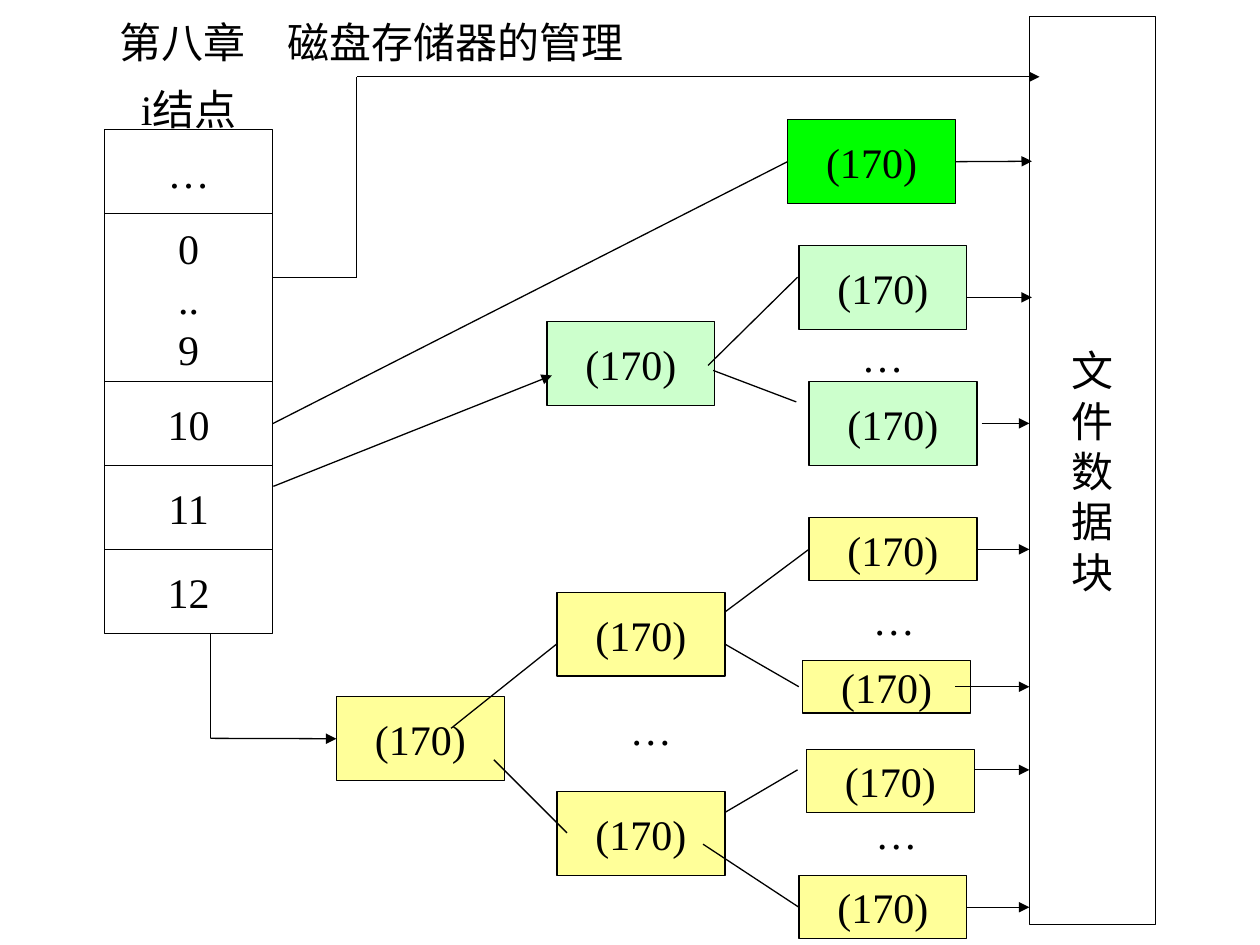
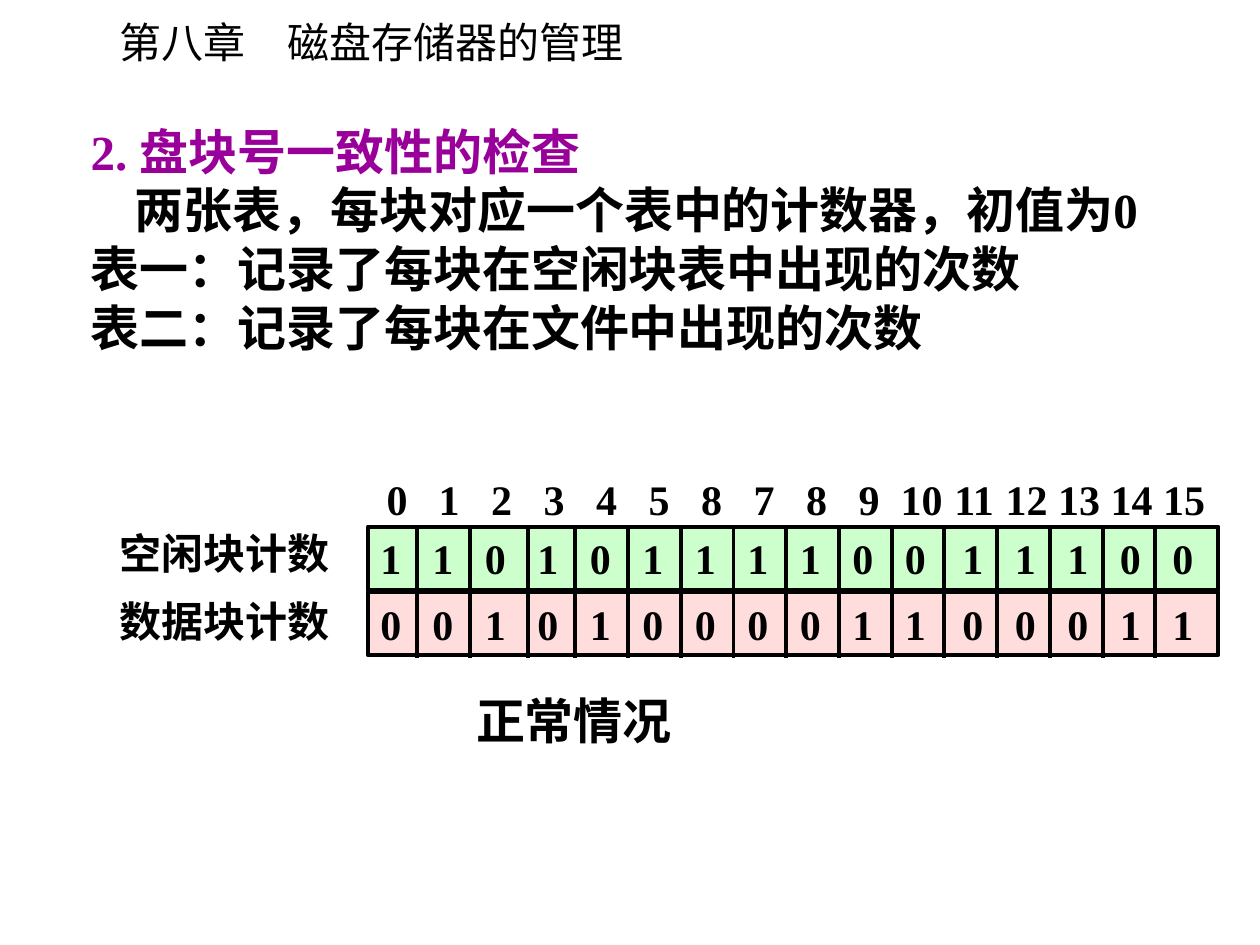
from lxml import etree
from pptx import Presentation
from pptx import util as u
from pptx.dml.color import RGBColor
from pptx.enum import shapes, text
from pptx.oxml.ns import qn

CJK, LATIN = "Noto Sans CJK SC", "Times New Roman"
BLACK, WHITE, PURPLE = "000000", "FFFFFF", "990099"
GREEN, MINT, YELLOW, PINK = "00FF00", "CCFFCC", "FFFF99", "FFDDDD"
CHAPTER = "第八章　磁盘存储器的管理"
LEFT, CENTER = text.PP_ALIGN.LEFT, text.PP_ALIGN.CENTER
I = u.Inches
rgb = RGBColor.from_string


def write(tf, lines, size=24, color=BLACK, bold=False, name=LATIN,
          align=LEFT, anchor=text.MSO_ANCHOR.MIDDLE, wrap=False, tabs=()):
    """Fill a text frame, one paragraph for each line."""
    frame = {"word_wrap": wrap, "auto_size": text.MSO_AUTO_SIZE.NONE,
             "vertical_anchor": anchor}
    for key, value in frame.items():
        setattr(tf, key, value)
    for i, line in enumerate(lines):
        p = tf.paragraphs[0] if i == 0 else tf.add_paragraph()
        p.alignment = align
        p.space_before = u.Pt(0)
        if tabs:
            stops = etree.SubElement(p._p.get_or_add_pPr(), qn("a:tabLst"))
            for x in tabs:
                etree.SubElement(stops, qn("a:tab"), pos=str(I(x)), algn="ctr")
        r = p.add_run()
        r.text = line
        for key, value in {"size": u.Pt(size), "bold": bold, "name": name}.items():
            setattr(r.font, key, value)
        r.font.color.rgb = rgb(color)
        etree.SubElement(r.font._element, qn("a:ea"), typeface=CJK)


def box(s, at, lines, fill=None, line=BLACK, width=0.75, align=CENTER, **style):
    """Rectangle with text, centred by default."""
    sp = s.shapes.add_shape(shapes.MSO_SHAPE.RECTANGLE, *map(I, at))
    sp.shadow.inherit = False
    if fill:
        sp.fill.solid()
        sp.fill.fore_color.rgb = rgb(fill)
    else:
        sp.fill.background()
    if line:
        sp.line.color.rgb = rgb(line)
        sp.line.width = u.Pt(width)
    else:
        sp.line.fill.background()
    write(sp.text_frame, lines, align=align, **style)
    return sp


prs = Presentation()
prs.slide_width, prs.slide_height = I(10), I(7.5)

# Both slides carry the chapter title
slides = []
for layout in (5, 1):
    s = prs.slides.add_slide(prs.slide_layouts[layout])
    sp = s.shapes.title
    sp.left, sp.top, sp.width, sp.height = map(I, (0.85, 0.08, 4.27, 0.5))
    write(sp.text_frame, [CHAPTER], name=CJK, anchor=text.MSO_ANCHOR.TOP)
    slides.append(s)
index_slide, check_slide = slides

# Slide 1: i-node entries, stacked
s = index_slide
W, H = 4 / 3, 2 / 3
nodes, top = {}, 1.03
for label, height in (("…", H), ("0 .. 9", 2 * H), ("10", H), ("11", H), ("12", H)):
    nodes[label] = box(s, (0.83, top, W, height), label.split())
    top += height
box(s, (0.83, 0.53, W, H), ["i结点"], line=None)
box(s, (8.17, 0.13, 1, 7.21), list("文件数据块"))

# Index blocks: name -> left, top, height, fill
blocks = {
    "single": (6.25, 0.95, H, GREEN),
    "double": (4.34, 2.55, H, MINT),
    "double first": (6.34, 1.95, H, MINT),
    "double last": (6.42, 3.03, H, MINT),
    "triple": (2.67, 5.53, H, YELLOW),
    "triple first": (4.42, 4.7, H, YELLOW),
    "triple last": (4.42, 6.28, H, YELLOW),
    "leaf 1": (6.42, 4.11, 0.5, YELLOW),
    "leaf 2": (6.37, 5.24, 0.42, YELLOW),
    "leaf 3": (6.4, 5.95, 0.5, YELLOW),
    "leaf 4": (6.34, 6.95, 0.5, YELLOW),
}
for name, (left, top, height, fill) in blocks.items():
    nodes[name] = box(s, (left, top, W, height), ["(170)"], fill)
for left, top in ((6.42, 2.7), (6.51, 4.79), (4.58, 5.66), (6.53, 6.49)):
    box(s, (left, top, 1.17, 0.24), ["…"], WHITE, None)

# Links: x1, y1, x2, y2, arrow, joined start, joined end
links = [
    (2.17, 2.2, 2.83, 2.2, False, None, None),
    (2.83, 2.2, 2.83, 0.61, False, None, None),
    (2.83, 0.61, 8.25, 0.61, True, None, None),
    (2.17, 3.36, 6.25, 1.28, False, "10", "single"),
    (2.17, 3.86, 4.38, 2.98, True, None, None),
    (5.62, 2.9, 6.33, 2.2, False, None, None),
    (5.66, 2.94, 6.32, 3.19, False, None, None),
    (1.67, 5.03, 1.67, 5.86, False, None, None),
    (1.67, 5.86, 2.67, 5.86, True, None, "triple"),
    (3.58, 5.78, 4.42, 5.11, False, None, None),
    (3.92, 6.03, 4.5, 6.61, False, None, None),
    (5.75, 4.86, 6.42, 4.36, False, None, "leaf 1"),
    (5.75, 5.11, 6.34, 5.45, False, None, None),
    (5.75, 6.45, 6.33, 6.11, False, None, None),
    (5.58, 6.7, 6.33, 7.2, False, None, "leaf 4"),
]
# Arrows into the data blocks: start x, y, end x, joined start
for x, y, end, start in (
        (7.58, 1.28, 8.19, "single"), (7.67, 2.36, 8.19, None),
        (7.79, 3.36, 8.17, None), (7.75, 4.36, 8.17, "leaf 1"),
        (7.58, 5.45, 8.17, None), (7.73, 6.11, 8.17, None),
        (7.67, 7.2, 8.17, "leaf 4")):
    links.append((x, y, end, y, True, start, None))

# Slide 2: explanation
s = check_slide
body = s.placeholders[1]
body.left, body.top, body.width, body.height = map(I, (0.62, 0.91, 9.03, 1.97))
write(body.text_frame, ["2. 盘块号一致性的检查",
                        "两张表，每块对应一个表中的计数器，初值为0",
                        "表一：记录了每块在空闲块表中出现的次数",
                        "表二：记录了每块在文件中出现的次数"], size=28, bold=True)
for i, p in enumerate(body.text_frame.paragraphs):
    pPr = p._p.get_or_add_pPr()
    pPr.set("marL", "0")
    pPr.set("indent", str(I(0.35) if i == 1 else 0))
    etree.SubElement(pPr, qn("a:buNone"))
body.text_frame.paragraphs[0].runs[0].font.color.rgb = rgb(PURPLE)

# Block numbers and the two rows of counters, set on centred tab stops
STEP = 5 / 12
number_tabs = [0.08 + STEP * i for i in range(1, 16)]
count_tabs = [x + (0.04 if i >= 11 else 0) for i, x in enumerate(number_tabs, 1)]
for at, values, fill, line, tabs in (
        ((2.97, 3.71, 6.7, 0.5), "0 1 2 3 4 5 8 7 8 9 10 11 12 13 14 15",
         None, None, number_tabs),
        ((2.92, 4.18, 6.75, 0.5), "1 1 0 1 0 1 1 1 1 0 0 1 1 1 0 0",
         MINT, BLACK, count_tabs),
        ((2.92, 4.7, 6.75, 0.5), "0 0 1 0 1 0 0 0 0 1 1 0 0 0 1 1",
         PINK, BLACK, count_tabs)):
    box(s, at, ["\t".join(values.split())], fill, line, width=2.25,
        align=LEFT, bold=True, wrap=True, tabs=tabs)

# Row labels and caption
for at, label, size in (((0.85, 4.14, 1.86, 0.5), "空闲块计数", 24),
                        ((0.85, 4.68, 1.86, 0.5), "数据块计数", 24),
                        ((3.68, 5.43, 1.75, 0.57), "正常情况", 28)):
    write(s.shapes.add_textbox(*map(I, at)).text_frame, [label], size, bold=True)

# Dividers between counters; the third stands slightly to the right
dividers = []
for i in range(15):
    x = 4.19 if i == 2 else 3.31 + 5.86 / 14 * i
    dividers.append((x, 4.18, x, 5.22, False, None, None))

# Lines of both slides
for s, lines, width in ((index_slide, links, 0.75), (check_slide, dividers, 2.25)):
    for *ends, arrow, start, end in lines:
        c = s.shapes.add_connector(shapes.MSO_CONNECTOR.STRAIGHT, *map(I, ends))
        c.line.color.rgb = rgb(BLACK)
        c.line.width = u.Pt(width)
        if arrow:
            etree.SubElement(c.line._get_or_add_ln(), qn("a:tailEnd"), type="triangle")
        etree.SubElement(c._element.spPr, qn("a:effectLst"))
        if start:
            c.begin_connect(nodes[start], 3)
        if end:
            c.end_connect(nodes[end], 1)

prs.save("out.pptx")
